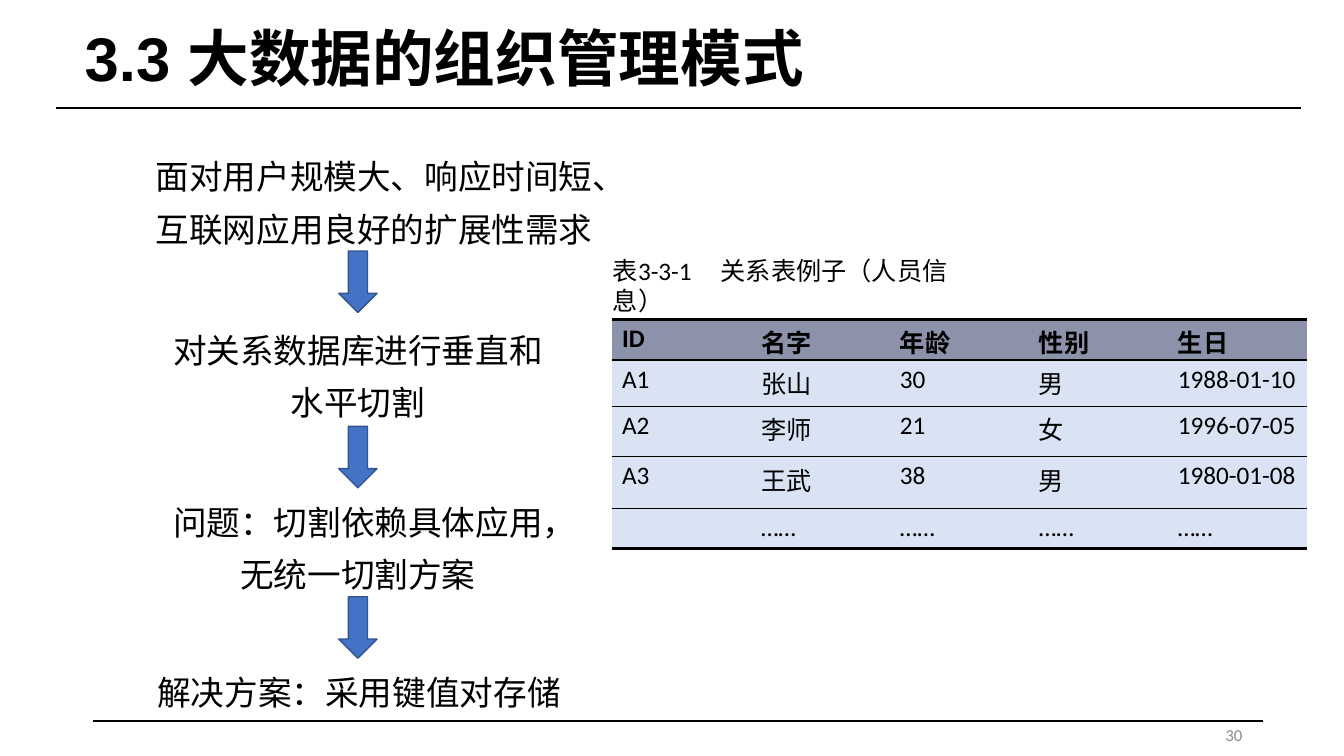
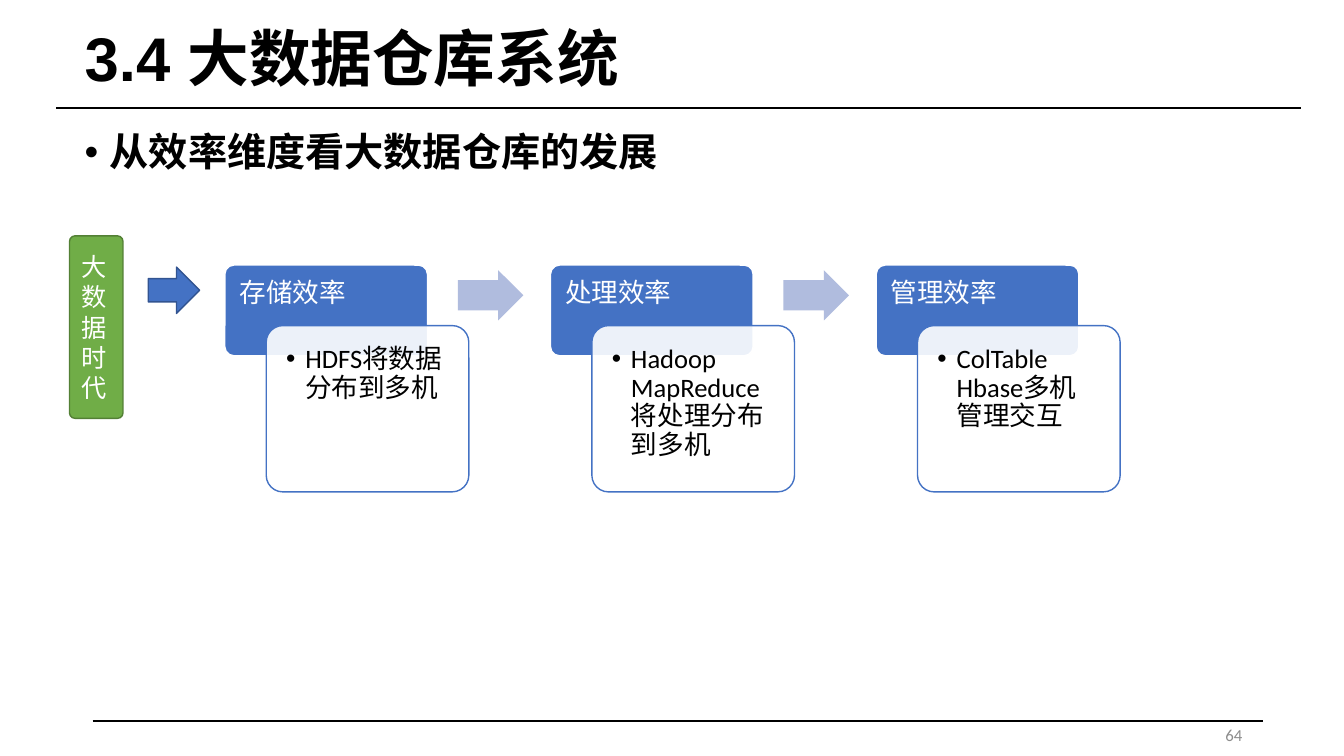
from lxml import etree
from pptx import Presentation
from pptx import util as u
from pptx.dml.color import RGBColor
from pptx.enum import shapes, text
from pptx.oxml import ns

PX = 9144  # EMU per px, 100 px to the inch
BLACK = RGBColor(0x00, 0x00, 0x00)
WHITE = RGBColor(0xFF, 0xFF, 0xFF)
GREY = RGBColor(0x8C, 0x8C, 0x8C)
BLUE = RGBColor(0x44, 0x72, 0xC4)
DARK_BLUE = RGBColor(0x32, 0x54, 0x91)
PALE_BLUE = RGBColor(0xB0, 0xBC, 0xDE)
GREEN = RGBColor(0x70, 0xAD, 0x47)
DARK_GREEN = RGBColor(0x53, 0x80, 0x35)
HEADER_FILL = RGBColor(0x8C, 0x92, 0xA9)
BODY_FILL = RGBColor(0xDA, 0xE3, 0xF3)
CJK = "Noto Sans CJK SC"
LATIN = "Calibri"
LEFT, CENTER, RIGHT = text.PP_ALIGN.LEFT, text.PP_ALIGN.CENTER, text.PP_ALIGN.RIGHT
TOP, MIDDLE = text.MSO_ANCHOR.TOP, text.MSO_ANCHOR.MIDDLE
KIND = shapes.MSO_SHAPE


def px(*lengths):
    return [u.Emu(length * PX) for length in lengths]


def add_xml(parent, tag, **attributes):
    return etree.SubElement(parent, ns.qn(tag), attributes)


class Deck:
    """Holds the shared style and the slide being built."""

    def __init__(self):
        self.prs = Presentation()
        self.prs.slide_width, self.prs.slide_height = px(1333, 750)
        self.slide = None

    def new_slide(self, title, number):
        self.slide = self.prs.slides.add_slide(self.prs.slide_layouts[5])
        self.rule(56, 1290, 107, 1.75)
        self.rule(92, 1253, 715, 1.25)
        heading = self.slide.shapes.title
        heading.left, heading.top, heading.width, heading.height = px(74, 15, 1195, 92)
        self.set_text(heading.text_frame, title, 44, font="Arial", bold=True,
                      spacing=0.9, anchor=MIDDLE)
        self.label((942, 709, 300, 40), number, 12, color=GREY, align=RIGHT, anchor=MIDDLE)

    def rule(self, left, right, y, weight):
        line = self.slide.shapes.add_connector(
            shapes.MSO_CONNECTOR.STRAIGHT, *px(left, y, right, y))
        line.line.color.rgb = BLACK
        line.line.width = u.Pt(weight)
        add_xml(line._element.spPr, "a:effectLst")

    def add_run(self, paragraph, words, size, color=BLACK, font=LATIN, bold=False):
        run = paragraph.add_run()
        run.text = words
        run.font.size = u.Pt(size)
        run.font.bold = bold
        run.font.color.rgb = color
        run.font.name = font
        add_xml(run._r.get_or_add_rPr(), "a:ea", typeface=CJK)

    def set_text(self, frame, words, size, align=LEFT, spacing=None, anchor=TOP,
                 bullet=0, tab=0, insets=None, **run_style):
        """Fill one paragraph; bullet is its hanging indent and tab its tab stop."""
        frame.word_wrap = True
        frame.auto_size = text.MSO_AUTO_SIZE.NONE
        frame.vertical_anchor = anchor
        if insets:
            (frame.margin_left, frame.margin_top,
             frame.margin_right, frame.margin_bottom) = px(*insets)
        paragraph = frame.paragraphs[0]
        paragraph.alignment = align
        if spacing:
            paragraph.line_spacing = spacing
        properties = paragraph._p.get_or_add_pPr()
        if bullet:
            properties.set("marL", str(bullet * PX))
            properties.set("indent", str(-bullet * PX))
            add_xml(properties, "a:buFont", typeface="Arial")
            add_xml(properties, "a:buChar", char="•")
        if tab:
            add_xml(add_xml(properties, "a:tabLst"), "a:tab", pos=str(tab * PX), algn="l")
        self.add_run(paragraph, words, size, **run_style)

    def label(self, place, words, size, **style):
        box = self.slide.shapes.add_textbox(*px(*place))
        self.set_text(box.text_frame, words, size, **style)

    def shape(self, kind, place, fill, line=None, adjust=(), opacity=None):
        shape = self.slide.shapes.add_shape(kind, *px(*place))
        shape.shadow.inherit = False
        shape.fill.solid()
        shape.fill.fore_color.rgb = fill
        if opacity:
            color = shape._element.spPr.find(".//" + ns.qn("a:srgbClr"))
            add_xml(color, "a:alpha", val=str(opacity * 1000))
        if line is None:
            shape.line.fill.background()
        else:
            shape.line.color.rgb = line
            shape.line.width = u.Pt(1)
        for index, value in enumerate(adjust):
            shape.adjustments[index] = value
        return shape

    def rounded(self, place, fill, line, words, size, opacity=None, **style):
        box = self.shape(KIND.ROUNDED_RECTANGLE, place, fill, line, (0.1,), opacity)
        self.set_text(box.text_frame, words, size, **style)

    def table(self, place, heights, rows):
        """Add a table with a heavy-ruled header and thin rules between rows."""
        table = self.slide.shapes.add_table(len(rows), len(rows[0]), *px(*place)).table
        for row, height in zip(table.rows, px(*heights)):
            row.height = height
        last = len(rows) - 1
        for r, row in enumerate(rows):
            above = 2.25 if r < 2 else 0.5
            below = 2.25 if r in (0, last) else 0.5
            for c, words in enumerate(row):
                cell = table.cell(r, c)
                cell.margin_top, cell.margin_bottom = px(4, 0)
                if words:
                    self.add_run(cell.text_frame.paragraphs[0], words, 18, bold=r == 0)
                self.borders(cell, above, below)
                cell.fill.solid()
                cell.fill.fore_color.rgb = BODY_FILL if r else HEADER_FILL

    def borders(self, cell, above, below):
        properties = cell._tc.get_or_add_tcPr()
        for side, weight in (("L", 0), ("R", 0), ("T", above), ("B", below)):
            edge = add_xml(properties, "a:ln" + side, w=str(u.Pt(weight)))
            if weight:
                add_xml(add_xml(edge, "a:solidFill"), "a:srgbClr", val=str(BLACK))
            else:
                add_xml(edge, "a:noFill")


def organisation_slide(deck):
    deck.new_slide("3.3 大数据的组织管理模式", "30")
    steps = [
        ((135, 138, 472, 111), "面对用户规模大、响应时间短、互联网应用良好的扩展性需求"),
        ((152, 310, 406, 111), "对关系数据库进行垂直和水平切割"),
        ((152, 481, 406, 111), "问题：切割依赖具体应用，无统一切割方案"),
        ((142, 650, 428, 58), "解决方案：采用键值对存储"),
    ]
    for place, words in steps:
        deck.label(place, words, 24, font=CJK, align=CENTER, spacing=1.3)
    for top in (249, 423, 592):
        deck.shape(KIND.DOWN_ARROW, (336, top, 38, 61), BLUE, DARK_BLUE)
    deck.table((607, 317, 689, 227), (40, 46, 50, 51, 40), [
        ("ID", "名字", "年龄", "性别", "生日"),
        ("A1", "张山", "30", "男", "1988-01-10"),
        ("A2", "李师", "21", "女", "1996-07-05"),
        ("A3", "王武", "38", "男", "1980-01-08"),
        ("", "……", "……", "……", "……"),
    ])
    deck.label((598, 248, 390, 40), "表3-3-1\t关系表例子（人员信息）", 18, tab=107)


def warehouse_slide(deck):
    deck.new_slide("3.4 大数据仓库系统", "64")
    deck.label((74, 127, 1195, 549), "从效率维度看大数据仓库的发展", 28,
               bold=True, spacing=0.9, bullet=25)
    stages = [
        ("存储效率", "HDFS将数据分布到多机"),
        ("处理效率", "Hadoop MapReduce将处理分布到多机"),
        ("管理效率", "ColTable Hbase多机管理交互"),
    ]
    for index, (name, detail) in enumerate(stages):
        left = 223 + 323 * index
        deck.rounded((left, 263, 201, 90), BLUE, WHITE, name, 19, color=WHITE,
                     spacing=0.9, insets=(12, 12, 12, 8))
        deck.rounded((left + 41, 323, 201, 165), WHITE, BLUE, detail, 19, opacity=90,
                     spacing=0.9, bullet=19, insets=(15, 15, 15, 15))
        if index < len(stages) - 1:
            deck.shape(KIND.RIGHT_ARROW, (left + 231, 268, 65, 50), PALE_BLUE,
                       adjust=(0.6, 0.5))
    deck.rounded((69, 234, 53, 181), GREEN, DARK_GREEN, "大数据时代", 18,
                 color=WHITE, anchor=MIDDLE)
    deck.shape(KIND.RIGHT_ARROW, (147, 265, 51, 46), BLUE, DARK_BLUE)


def main():
    deck = Deck()
    organisation_slide(deck)
    warehouse_slide(deck)
    deck.prs.save("out.pptx")


if __name__ == "__main__":
    main()
